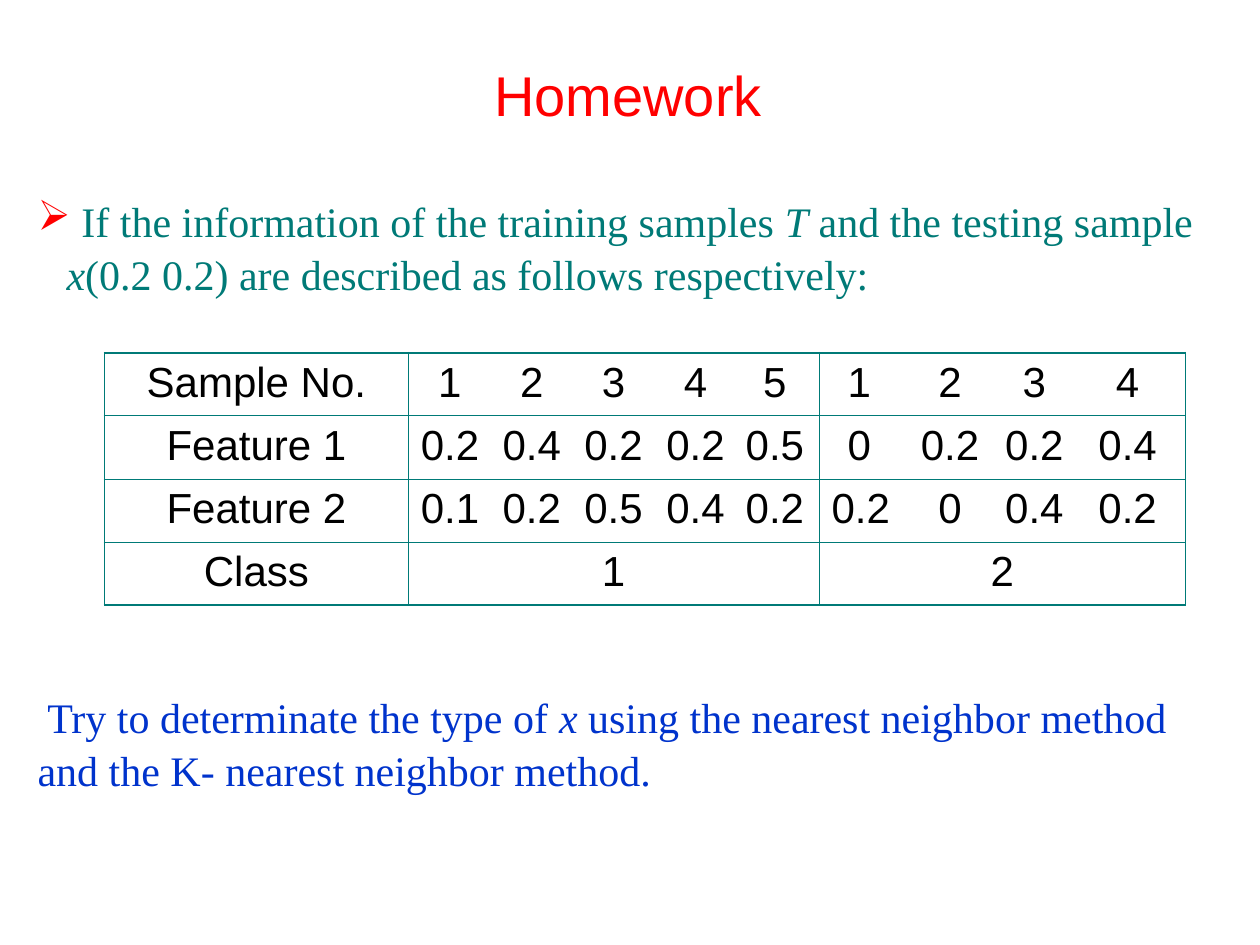
from dataclasses import dataclass

from lxml import etree
from pptx import Presentation
from pptx.dml.color import RGBColor
from pptx.enum import text
from pptx.oxml import ns
from pptx.util import Inches, Pt

COLORS = {"red": "FF0000", "teal": "007A77", "blue": "0033CC", "black": "000000"}
SERIF, SANS = "Times New Roman", "Arial"
THIN, THICK = 0.45, 1.08


@dataclass(frozen=True)
class Segment:
    text: str
    italic: bool = False


@dataclass(frozen=True)
class TextBlock:
    top: float
    width: float
    color: str
    segments: tuple
    bullet: str = ""


@dataclass(frozen=True)
class Column:
    width: float
    stops: tuple
    cells: tuple


BLOCKS = (
    TextBlock(1.5, 9.61, "teal", (
        Segment(" If the information of the training samples "),
        Segment("T", italic=True),
        Segment(" and the testing sample "),
        Segment("x", italic=True),
        Segment("(0.2 0.2) are described as follows respectively:"),
    ), bullet="➢"),
    TextBlock(5.44, 9.45, "blue", (
        Segment(" Try to determinate the type of "),
        Segment("x", italic=True),
        Segment(" using the nearest neighbor method and the K- nearest neighbor method."),
    )),
)

# A cell with several values sets them on the tab stops of its column.
COLUMNS = (
    Column(2.41, (), (["Sample No."], ["Feature 1"], ["Feature 2"], ["Class"])),
    Column(3.26, (0.23, 0.88, 1.53, 2.18, 2.81), (
        ["1", "2", "3", "4", "5"],
        ["0.2", "0.4", "0.2", "0.2", "0.5"],
        ["0.1", "0.2", "0.5", "0.4", "0.2"],
        ["1"],
    )),
    Column(2.91, (0.22, 0.94, 1.61, 2.35), (
        ["1", "2", "3", "4"],
        ["0", "0.2", "0.2", "0.4"],
        ["0.2", "0", "0.4", "0.2"],
        ["2"],
    )),
)


def add_element(parent, tag: str, **attributes):
    element = etree.SubElement(parent, ns.qn(tag))
    for name, value in attributes.items():
        element.set(name, str(value))
    return element


def write(paragraph, segments, *, size: float, font: str, color: str,
          align=text.PP_ALIGN.LEFT, spacing: float = 1.0) -> None:
    paragraph.alignment = align
    paragraph.line_spacing = spacing
    for segment in segments:
        run = paragraph.add_run()
        run.text = segment.text
        run.font.size = Pt(size)
        run.font.name = font
        run.font.bold = False
        run.font.italic = segment.italic
        run.font.color.rgb = RGBColor.from_string(COLORS[color])


def add_bullet(paragraph, character: str, color: str) -> None:
    properties = paragraph._p.get_or_add_pPr()
    properties.set("marL", str(Inches(0.23)))
    properties.set("indent", str(-Inches(0.23)))
    bullet_color = add_element(properties, "a:buClr")
    add_element(bullet_color, "a:srgbClr", val=COLORS[color])
    add_element(properties, "a:buChar", char=character)


def add_centered_tabs(paragraph, stops: tuple) -> None:
    tabs = add_element(paragraph._p.get_or_add_pPr(), "a:tabLst")
    for stop in stops:
        add_element(tabs, "a:tab", pos=Inches(stop), algn="ctr")


def set_borders(cell, widths: dict) -> None:
    properties = cell._tc.get_or_add_tcPr()
    for side, width in widths.items():
        line = add_element(properties, f"a:ln{side}", w=Pt(width))
        fill = add_element(line, "a:solidFill")
        add_element(fill, "a:srgbClr", val=COLORS["teal"])


def add_title(slide) -> None:
    title = slide.shapes.title
    title.left, title.top = Inches(0.16), Inches(0.43)
    title.width, title.height = Inches(9.65), Inches(0.63)
    frame = title.text_frame
    frame.vertical_anchor = text.MSO_ANCHOR.MIDDLE
    frame.auto_size = text.MSO_AUTO_SIZE.NONE
    write(frame.paragraphs[0], [Segment("Homework")], size=32, font=SANS,
          color="red", align=text.PP_ALIGN.CENTER)


def add_text_block(slide, block: TextBlock) -> None:
    box = slide.shapes.add_textbox(
        Inches(0.2), Inches(block.top), Inches(block.width), Inches(0.9))
    frame = box.text_frame
    frame.word_wrap = True
    frame.vertical_anchor = text.MSO_ANCHOR.MIDDLE
    paragraph = frame.paragraphs[0]
    if block.bullet:
        add_bullet(paragraph, block.bullet, "red")
    write(paragraph, block.segments, size=24, font=SERIF, color=block.color,
          spacing=1.05)


def fill_cell(cell, values: list, stops: tuple) -> None:
    paragraph = cell.text_frame.paragraphs[0]
    align = text.PP_ALIGN.CENTER
    content = values[0]
    if len(values) > 1:
        align = text.PP_ALIGN.LEFT
        content = "".join(f"\t{value}" for value in values)
        cell.margin_right = 0
        add_centered_tabs(paragraph, stops)
    write(paragraph, [Segment(content)], size=24, font=SANS, color="black",
          align=align)


def add_sample_table(slide) -> None:
    row_count, column_count = len(COLUMNS[0].cells), len(COLUMNS)
    width = sum(column.width for column in COLUMNS)
    table = slide.shapes.add_table(
        row_count, column_count, Inches(0.83), Inches(2.8),
        Inches(width), Inches(0.5 * row_count)).table
    table.first_row = table.horz_banding = False
    for x, column in enumerate(COLUMNS):
        table.columns[x].width = Inches(column.width)
        for y, values in enumerate(column.cells):
            cell = table.cell(y, x)
            fill_cell(cell, values, column.stops)
            set_borders(cell, {
                "L": THICK if x == 0 else THIN,
                "R": THICK if x == column_count - 1 else THIN,
                "T": THICK if y == 0 else THIN,
                "B": THICK if y == row_count - 1 else THIN,
            })
            cell.fill.background()


def main() -> None:
    presentation = Presentation()
    presentation.slide_width, presentation.slide_height = Inches(10), Inches(7.5)
    slide = presentation.slides.add_slide(presentation.slide_layouts[5])
    add_title(slide)
    for block in BLOCKS:
        add_text_block(slide, block)
    add_sample_table(slide)
    presentation.save("out.pptx")


if __name__ == "__main__":
    main()
